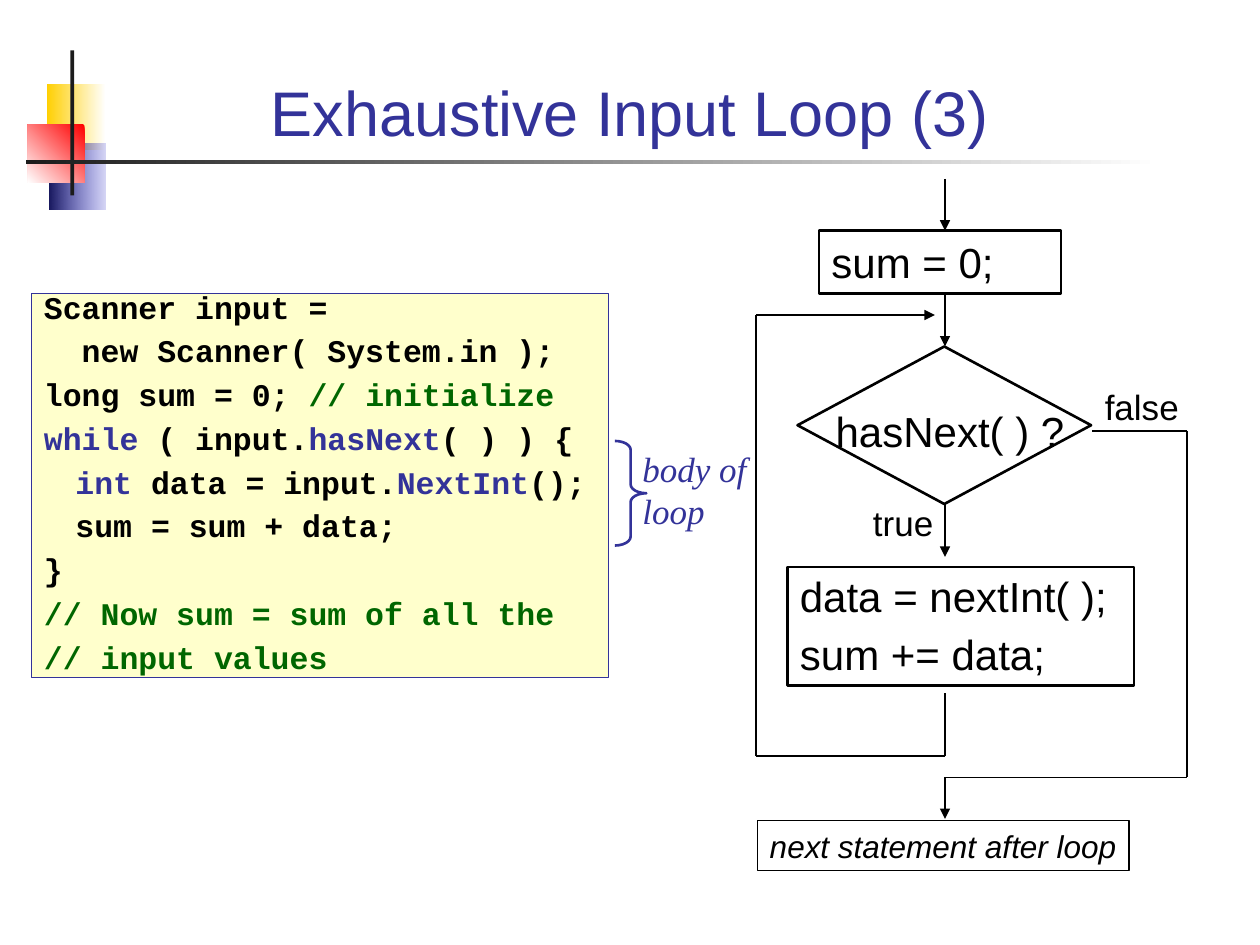
from itertools import pairwise

from lxml.etree import SubElement
from pptx import Presentation
from pptx.dml.color import RGBColor
from pptx.enum.shapes import MSO_CONNECTOR as Connector, MSO_SHAPE as Shape
from pptx.enum.text import MSO_ANCHOR as Anchor, PP_ALIGN as Align
from pptx.oxml.ns import qn
from pptx.util import Inches, Pt

COLORS = {
    "black": "000000", "white": "FFFFFF", "navy": "333399", "green": "006600",
    "cream": "FFFFCC", "gold": "FFCF01", "red": "FF0000", "blue": "3333CC",
    "midnight": "17175E", "charcoal": "1C1C1C",
}

TITLE = "Exhaustive Input Loop (3)"

ORNAMENTS = [
    ((0.37, 0.67, 0.47, 0.52), ("white", "gold"), 180),
    ((0.39, 1.14, 0.45, 0.52), ("blue", "midnight"), 180),
    ((0.22, 0.99, 0.45, 0.46), ("red", "white"), 225),
    ((0.56, 0.4, 0.03, 1.15), ("charcoal", "charcoal"), 180),
    ((0.21, 1.27, 9, 0.03), ("white", "charcoal"), 180),
]

CODE = [
    [("Scanner input =", "black")],
    [("  new Scanner( System.in );", "black")],
    [("long sum = 0; ", "black"), ("// initialize", "green")],
    [("while", "navy"), (" ( input.", "black"), ("hasNext", "navy"), ("( ) ) {", "black")],
    [("\t", "black"), ("int", "navy"), (" data = input.", "black"),
     ("NextInt", "navy"), ("();", "black")],
    [("\tsum = sum + data;", "black")],
    [("}", "black")],
    [("// Now sum = sum of all the", "green")],
    [("// input values", "green")],
]

STEP = {"size": 24, "line": ("black", 1.5), "gap": 4.4}
LABEL = {"size": 20}
BLOCKS = [
    ((6.5, 1.83, 1.92, 0.5), [[("sum = 0;", "black")]], STEP),
    ((6.33, 3.17, 2.42, 0.5), [[("hasNext( ) ?", "black")]],
     {"size": 24, "align": Align.CENTER}),
    ((6.25, 4.5, 2.75, 0.94),
     [[("data = nextInt( );", "black")], [("sum += data;", "black")]], STEP),
    ((6.83, 3.92, 0.83, 0.44), [[("true", "black")]], LABEL),
    ((8.67, 3, 0.83, 0.44), [[("false", "black")]], LABEL),
    ((5, 3.5, 1.17, 0.77), [[("body of loop", "navy")]],
     {"size": 20, "name": "Times New Roman", "italic": True}),
    ((0.25, 2.33, 4.58, 3.05), CODE,
     {"size": 18, "name": "Courier New", "bold": True, "fill": "cream",
      "line": ("navy", 0.75), "gap": 3.4, "tab": 0.25, "bottom": 0.02}),
    ((6.01, 6.51, 2.95, 0.4), [[("next statement after loop", "black")]],
     {"size": 18, "italic": True, "line": ("black", 0.75),
      "align": Align.CENTER, "wrap": False}),
]

AXIS = 7.5
ROUTES = [
    ([(AXIS, 1.42), (AXIS, 1.83)], True),
    ([(AXIS, 2.33), (AXIS, 2.75)], True),
    ([(AXIS, 4), (AXIS, 4.42)], True),
    ([(AXIS, 5.5), (AXIS, 6), (6, 6), (6, 2.5), (7.42, 2.5)], True),
    ([(8.67, 3.42), (9.42, 3.42), (9.42, 6.17), (AXIS, 6.17), (AXIS, 6.5)], True),
]


def color(name):
    return RGBColor.from_string(COLORS[name])


def add_shape(page, kind, place, fill=None, line=None):
    shape = page.shapes.add_shape(kind, *map(Inches, place))
    shape.shadow.inherit = False
    if fill:
        shape.fill.solid()
        shape.fill.fore_color.rgb = color(fill)
    else:
        shape.fill.background()
    if line:
        shape.line.color.rgb = color(line[0])
        shape.line.width = Pt(line[1])
    else:
        shape.line.fill.background()
    return shape


def add_ornament(page, place, stops, angle):
    shape = add_shape(page, Shape.RECTANGLE, place)
    if stops[0] == stops[1]:
        shape.fill.solid()
        shape.fill.fore_color.rgb = color(stops[0])
        return
    shape.fill.gradient()
    shape.fill.gradient_angle = angle
    for stop, name in zip(shape.fill.gradient_stops, stops):
        stop.color.rgb = color(name)
    if stops[0] == "blue":
        tint = shape._element.xpath(".//a:gs/a:srgbClr")[0]
        SubElement(tint, qn("a:alpha"), val="20000")


def write_span(para, text, name, fonts):
    span = para.add_run()
    span.text = text
    span.font.color.rgb = color(name)
    for key, value in fonts.items():
        setattr(span.font, key, value)


def add_block(page, place, lines, look):
    if "line" in look:
        box = add_shape(page, Shape.RECTANGLE, place, look.get("fill"), look["line"])
    else:
        box = page.shapes.add_textbox(*map(Inches, place))
    frame = box.text_frame
    settings = {"word_wrap": look.get("wrap", True), "vertical_anchor": Anchor.BOTTOM,
                "margin_bottom": Inches(look.get("bottom", 0.05))}
    for key, value in settings.items():
        setattr(frame, key, value)
    fonts = {"size": Pt(look["size"]), "name": look.get("name", "Arial"),
             "bold": look.get("bold", False), "italic": look.get("italic", False)}
    for index, spans in enumerate(lines):
        para = frame.add_paragraph() if index else frame.paragraphs[0]
        para.alignment = look.get("align", Align.LEFT)
        if index:
            para.space_before = Pt(look["gap"])
        if "tab" in look:
            tabs = SubElement(para._p.get_or_add_pPr(), qn("a:tabLst"))
            SubElement(tabs, qn("a:tab"), pos=str(Inches(look["tab"])), algn="l")
        for text, name in spans:
            write_span(para, text, name, fonts)


def add_route(page, points, arrow):
    for start, end in pairwise(points):
        link = page.shapes.add_connector(Connector.STRAIGHT, *map(Inches, start + end))
        link.line.color.rgb = color("black")
        link.line.width = Pt(0.75)
        if arrow and end == points[-1]:
            SubElement(link.line._get_or_add_ln(), qn("a:tailEnd"), type="triangle")
        SubElement(link._element.spPr, qn("a:effectLst"))


def add_title(page):
    title = page.shapes.title
    places = zip(("left", "top", "width", "height"), (0.67, 0.28, 8.66, 0.95))
    for key, value in places:
        setattr(title, key, Inches(value))
    title.text_frame.vertical_anchor = Anchor.BOTTOM
    para = title.text_frame.paragraphs[0]
    para.alignment = Align.CENTER
    write_span(para, TITLE, "navy", {"size": Pt(36), "name": "Arial"})


def main():
    deck = Presentation()
    deck.slide_width, deck.slide_height = Inches(10), Inches(7.5)
    page = deck.slides.add_slide(deck.slide_layouts[5])
    for ornament in ORNAMENTS:
        add_ornament(page, *ornament)
    add_title(page)
    add_shape(page, Shape.FLOWCHART_DECISION, (6.33, 2.75, 2.33, 1.25), line=("black", 1.5))
    brace = add_shape(page, Shape.RIGHT_BRACE, (4.88, 3.5, 0.25, 0.83), line=("navy", 1.5))
    brace.adjustments[0] = 0.28
    for block in BLOCKS:
        add_block(page, *block)
    for route in ROUTES:
        add_route(page, *route)
    deck.save("out.pptx")


if __name__ == "__main__":
    main()
